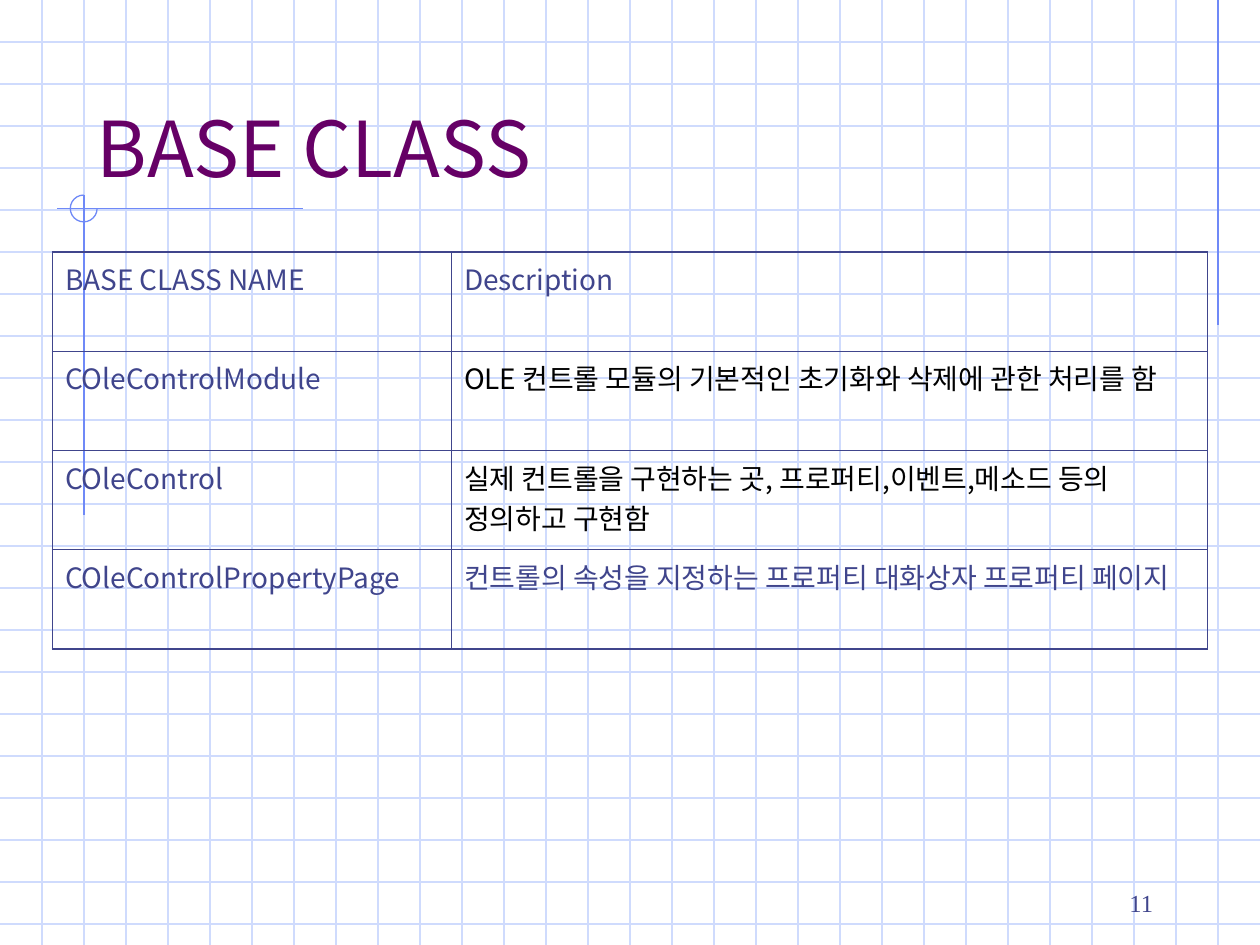
from dataclasses import dataclass

from lxml.etree import SubElement
from pptx import Presentation
from pptx.dml.color import RGBColor
from pptx.enum.shapes import MSO_CONNECTOR as CONN, MSO_SHAPE as SHAPE
from pptx.enum.text import MSO_ANCHOR as ANCHOR, MSO_AUTO_SIZE as AUTO, PP_ALIGN as ALIGN
from pptx.oxml import parse_xml
from pptx.oxml.ns import nsdecls, qn
from pptx.util import Pt

GRID = RGBColor(0xCF, 0xDB, 0xFD)
ACCENT = RGBColor(0x6F, 0x89, 0xF7)
PURPLE = RGBColor(0x66, 0x00, 0x66)
INDIGO = RGBColor(0x40, 0x45, 0x8C)
BLACK = RGBColor(0, 0, 0)
SANS = "Noto Sans CJK KR"
SERIF = "Times New Roman"
WIDTH, HEIGHT, STEP = 720, 540, 24
THIN, THICK = 0.45, 1.08
ROW_HEIGHT = 56.7
COL_WIDTHS = (228, 432)


@dataclass
class Line:
    x1: float
    y1: float
    x2: float
    y2: float
    color: RGBColor


@dataclass
class Row:
    name: str
    description: str
    color: RGBColor


ROWS = [
    Row("BASE CLASS NAME", "Description", INDIGO),
    Row("COleControlModule", "OLE 컨트롤 모듈의 기본적인 초기화와 삭제에 관한 처리를 함", BLACK),
    Row("COleControl", "실제 컨트롤을 구현하는 곳, 프로퍼티,이벤트,메소드 등의 정의하고 구현함", BLACK),
    Row("COleControlPropertyPage", "컨트롤의 속성을 지정하는 프로퍼티 대화상자 프로퍼티 페이지", INDIGO),
]


def add_line(s, line: Line) -> None:
    c = s.shapes.add_connector(CONN.STRAIGHT, Pt(line.x1), Pt(line.y1), Pt(line.x2), Pt(line.y2))
    c.line.color.rgb = line.color
    c.line.width = Pt(0.75)
    SubElement(c._element.spPr, qn("a:effectLst"))


def set_text(tf, text: str, *, size: float, color: RGBColor, font: str = SANS,
             align=ALIGN.LEFT, before: float = 0) -> None:
    tf.word_wrap = True
    p = tf.paragraphs[0]
    p.alignment = align
    p.space_before = Pt(before)
    r = p.add_run()
    r.text = text
    r.font.size = Pt(size)
    r.font.name = font
    r.font.bold = False
    r.font.color.rgb = color
    SubElement(r._r.get_or_add_rPr(), qn("a:ea"), typeface=font)


def set_borders(cell, left: float, right: float, top: float, bottom: float) -> None:
    tcPr = cell._tc.get_or_add_tcPr()
    for i, (side, width) in enumerate(zip("LRTB", (left, right, top, bottom))):
        tcPr.insert(i, parse_xml(
            f'<a:ln{side} {nsdecls("a")} w="{Pt(width)}"><a:solidFill>'
            f'<a:srgbClr val="{INDIGO}"/></a:solidFill></a:ln{side}>'))


def add_grid(s) -> None:
    for y in range(STEP, HEIGHT, STEP):
        add_line(s, Line(0, y, WIDTH, y, GRID))
    for x in range(STEP, WIDTH, STEP):
        add_line(s, Line(x, 0, x, HEIGHT, GRID))


def add_ornament(s) -> None:
    add_line(s, Line(696, 0, 696, 186, ACCENT))
    add_line(s, Line(173, 119.2, 32.5, 119.2, ACCENT))
    add_line(s, Line(48, 111.5, 48, 294.5, ACCENT))
    arc = s.shapes.add_shape(SHAPE.ARC, Pt(40.2), Pt(111.5), Pt(15.3), Pt(15.3))
    arc.adjustments[0] = 0
    arc.adjustments[1] = 162
    arc.shadow.inherit = False
    arc.fill.background()
    arc.line.color.rgb = ACCENT
    arc.line.width = Pt(0.75)


def add_title(s, text: str) -> None:
    sp = s.shapes.title
    s.shapes._spTree.append(sp._element)
    sp.left, sp.top, sp.width, sp.height = Pt(48), Pt(24), Pt(612), Pt(90)
    tf = sp.text_frame
    tf.auto_size = AUTO.NONE
    tf.vertical_anchor = ANCHOR.BOTTOM
    set_text(tf, text, size=44, color=PURPLE)


def add_class_table(s, rows: list[Row]) -> None:
    n = len(rows)
    table = s.shapes.add_table(n, 2, Pt(30), Pt(144), Pt(sum(COL_WIDTHS)), Pt(n * ROW_HEIGHT)).table
    table.first_row = table.horz_banding = False
    for col, width in zip(table.columns, COL_WIDTHS):
        col.width = Pt(width)
    for i, row in enumerate(rows):
        table.rows[i].height = Pt(ROW_HEIGHT)
        for j, (text, color) in enumerate(((row.name, INDIGO), (row.description, row.color))):
            cell = table.cell(i, j)
            cell.fill.background()
            set_text(cell.text_frame, text, size=16, color=color, before=4)
            set_borders(cell,
                        left=THIN if j else THICK,
                        right=THICK if j else THIN,
                        top=THIN if i else THICK,
                        bottom=THICK if i == n - 1 else THIN)


def add_page_number(s, text: str) -> None:
    tf = s.shapes.add_textbox(Pt(516), Pt(492), Pt(150), Pt(36)).text_frame
    tf.vertical_anchor = ANCHOR.BOTTOM
    set_text(tf, text, size=14, color=INDIGO, font=SERIF, align=ALIGN.RIGHT)


def main() -> None:
    prs = Presentation()
    prs.slide_width, prs.slide_height = Pt(WIDTH), Pt(HEIGHT)
    s = prs.slides.add_slide(prs.slide_layouts[5])
    add_grid(s)
    add_ornament(s)
    add_title(s, "BASE CLASS")
    add_class_table(s, ROWS)
    add_page_number(s, "11")
    prs.save("out.pptx")


if __name__ == "__main__":
    main()
